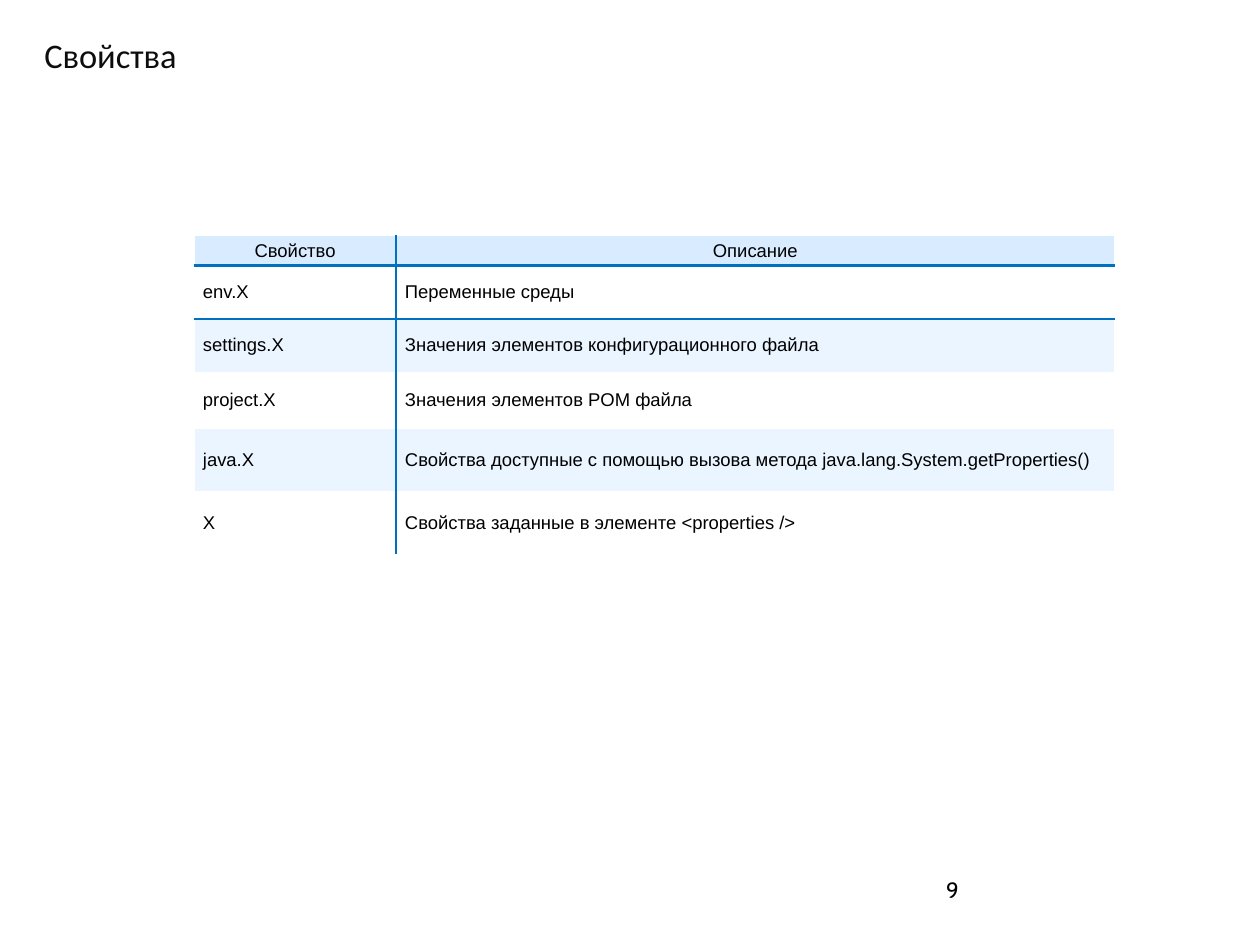
from lxml import etree
from pptx import Presentation
from pptx import util as u
from pptx.dml.color import RGBColor
from pptx.enum import text
from pptx.oxml.ns import qn

BLACK = RGBColor(0x00, 0x00, 0x00)
TITLE_INK = RGBColor(0x0D, 0x0D, 0x0D)
WHITE = RGBColor(0xFF, 0xFF, 0xFF)
HEADER_FILL = RGBColor(0xD9, 0xEC, 0xFF)
BAND_FILL = RGBColor(0xEB, 0xF5, 0xFF)
RULE_BLUE = RGBColor(0x00, 0x70, 0xC0)

PROPERTIES = [
    ("Свойство", "Описание"),
    ("env.X", "Переменные среды"),
    ("settings.X", "Значения элементов конфигурационного файла"),
    ("project.X", "Значения элементов POM файла"),
    ("java.X", "Свойства доступные с помощью вызова метода java.lang.System.getProperties()"),
    ("X", "Свойства заданные в элементе <properties />"),
]
COLUMN_WIDTHS = [2.28, 8.11]
ROW_HEIGHTS = [0.34, 0.6, 0.6, 0.64, 0.71, 0.71]


def add_span(para, words, font, size, colour):
    span = para.add_run()
    span.text = words
    span.font.name = font
    span.font.size = u.Pt(size)
    span.font.color.rgb = colour


def set_borders(cell, borders):
    """Borders come before the fill, in the order L, R, T, B."""
    properties = cell._tc.get_or_add_tcPr()
    for position, (side, (colour, width)) in enumerate(borders.items()):
        line = etree.Element(qn("a:ln" + side), w=str(u.Pt(width)))
        fill = etree.SubElement(line, qn("a:solidFill"))
        etree.SubElement(fill, qn("a:srgbClr"), val=str(colour))
        properties.insert(position, line)


deck = Presentation()
deck.slide_width, deck.slide_height = u.Inches(14.22), u.Inches(10.67)
page = deck.slides.add_slide(deck.slide_layouts[5])

# Title
title = page.shapes.title
title.left, title.top = u.Inches(0.4), u.Inches(0.3)
title.width, title.height = u.Inches(11.03), u.Inches(0.63)
title.text_frame.word_wrap = False
title.text_frame.auto_size = text.MSO_AUTO_SIZE.NONE
title.text_frame.vertical_anchor = text.MSO_ANCHOR.MIDDLE
para = title.text_frame.paragraphs[0]
para.alignment = text.PP_ALIGN.LEFT
add_span(para, "Свойства", "Calibri", 28, TITLE_INK)

# Table of properties
frame = page.shapes.add_table(
    len(PROPERTIES), len(COLUMN_WIDTHS), u.Inches(2.19), u.Inches(2.66),
    u.Inches(sum(COLUMN_WIDTHS)), u.Inches(sum(ROW_HEIGHTS)))
table = frame.table
table.horz_banding = False
for column, width in zip(table.columns, COLUMN_WIDTHS):
    column.width = u.Inches(width)
for row, height in zip(table.rows, ROW_HEIGHTS):
    row.height = u.Inches(height)

blue_rule, white_rule = (RULE_BLUE, 2.25), (WHITE, 1)
for r, words in enumerate(PROPERTIES):
    row_fill = HEADER_FILL if r == 0 else WHITE if r % 2 else BAND_FILL
    for c, entry in enumerate(words):
        cell = table.cell(r, c)
        cell.fill.solid()
        cell.fill.fore_color.rgb = row_fill
        cell.vertical_anchor = text.MSO_ANCHOR.MIDDLE
        para = cell.text_frame.paragraphs[0]
        if r == 0:
            para.alignment = text.PP_ALIGN.CENTER
        else:
            para.alignment = text.PP_ALIGN.JUSTIFY if c else text.PP_ALIGN.LEFT
        add_span(para, entry, "Arial", 15, BLACK)

        # Blue rules under the header and between the columns
        borders = {"L": blue_rule if c else white_rule,
                   "R": white_rule if c else blue_rule}
        if r == 0:
            borders.update(T=white_rule, B=blue_rule)
        elif r == 1:
            borders.update(T=blue_rule)
        set_borders(cell, borders)

# Without a table style only the cell formatting shows
table._tbl.tblPr.find(qn("a:tableStyleId")).text = "{2D5ABB26-0587-4C30-8999-92F81FD0307C}"

# Page number
box = page.shapes.add_textbox(
    u.Inches(10.58), u.Inches(9.85), u.Inches(3.32), u.Inches(0.53))
box.text_frame.word_wrap = True
add_span(box.text_frame.paragraphs[0], "9", "Cabin", 18, BLACK)

deck.save("out.pptx")
